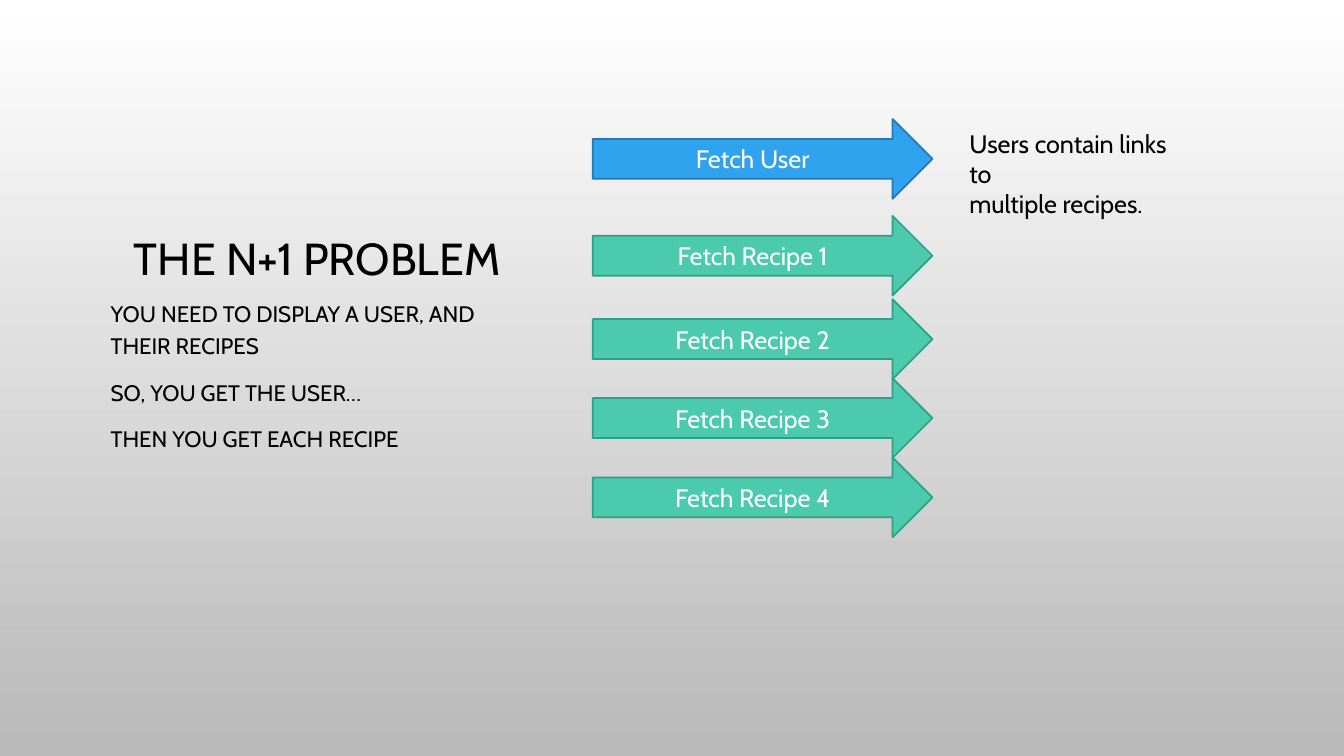
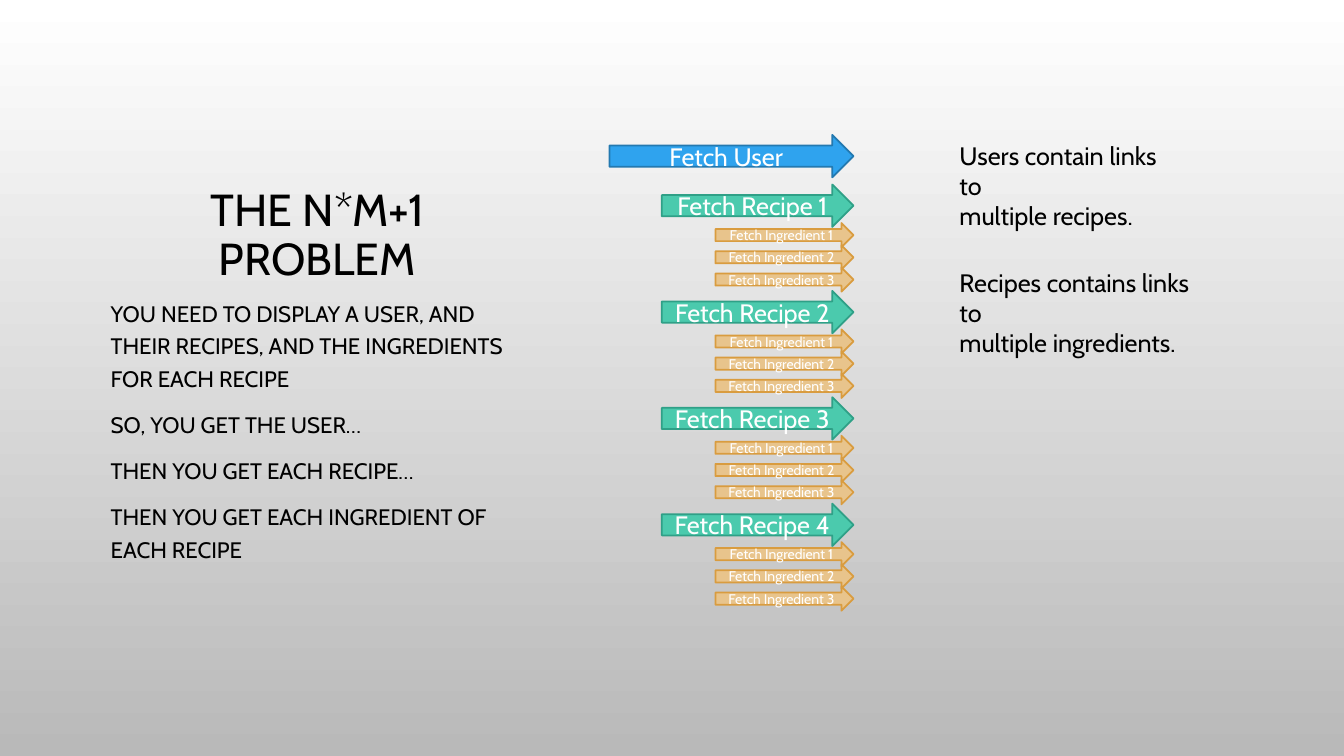
from dataclasses import dataclass
from typing import Any

from pptx import Presentation
from pptx import util as u
from pptx.dml.color import RGBColor
from pptx.enum import shapes, text


# Theme: colours, font and type sizes
@dataclass(frozen=True)
class Theme:
    font: str = "Cabin"
    ink: str = "000000"
    pale: str = "FFFFFF"
    back: tuple[str, str] = ("FFFFFF", "B9B9B9")
    user: tuple[str, str] = ("2FA3EE", "2379B0")
    recipe: tuple[str, str] = ("4BCAAD", "2FA087")
    item: tuple[str, str] = ("E8C48C", "D99C3F")
    title: int = 32
    body: int = 16
    label: int = 18
    small: int = 10
    edge: float = 1.25


THEME = Theme()


# Repeated elements, lengths in centimetres
@dataclass(frozen=True)
class Box:
    left: float
    top: float
    width: float
    height: float


@dataclass(frozen=True)
class Arrow:
    label: str
    box: Box
    paint: tuple[str, str]
    size: int = THEME.label


@dataclass(frozen=True)
class Note:
    lines: tuple[str, ...]
    box: Box


@dataclass(frozen=True)
class Page:
    title: str
    body: tuple[str, ...]
    arrows: list[Arrow]
    notes: list[Note]


HEAD = Box(2.54, 1.7, 10.92, 5.61)
BODY = Box(2.54, 7.31, 10.92, 8.76)
TITLE_STYLE = {"alignment": text.PP_ALIGN.CENTER, "line_spacing": 0.9}
BODY_STYLE = {"line_spacing": 1.2, "space_before": u.Pt(10)}
LABEL_STYLE = {"alignment": text.PP_ALIGN.CENTER}
NOTE_STYLE = {"alignment": text.PP_ALIGN.LEFT}


# Drawing functions
def apply(target: Any, values: dict[str, Any]) -> None:
    for name, value in values.items():
        setattr(target, name, value)


def place(box: Box) -> list[int]:
    return [u.Cm(n) for n in (box.left, box.top, box.width, box.height)]


def write(shape: Any, lines: tuple[str, ...], size: int, ink: str,
          style: dict[str, Any], anchor: Any = text.MSO_ANCHOR.TOP) -> None:
    frame = shape.text_frame
    apply(frame, {"word_wrap": True, "vertical_anchor": anchor})
    for i, line in enumerate(lines):
        para = frame.add_paragraph() if i else frame.paragraphs[0]
        apply(para, style)
        run = para.add_run()
        run.text = line
        apply(run.font, {"name": THEME.font, "size": u.Pt(size)})
        run.font.color.rgb = RGBColor.from_string(ink)


def draw_arrow(slide: Any, arrow: Arrow) -> None:
    shape = slide.shapes.add_shape(shapes.MSO_SHAPE.RIGHT_ARROW, *place(arrow.box))
    fill, line = arrow.paint
    shape.shadow.inherit = False
    shape.fill.solid()
    shape.fill.fore_color.rgb = RGBColor.from_string(fill)
    shape.line.color.rgb = RGBColor.from_string(line)
    shape.line.width = u.Pt(THEME.edge)
    write(shape, (arrow.label,), arrow.size, THEME.pale, LABEL_STYLE,
          text.MSO_ANCHOR.MIDDLE)


def draw_back(slide: Any) -> None:
    fill = slide.background.fill
    fill.gradient()
    fill.gradient_angle = 270
    for stop, tone in zip(fill.gradient_stops, THEME.back):
        stop.color.rgb = RGBColor.from_string(tone)


def draw_page(deck: Any, page: Page) -> None:
    slide = deck.slides.add_slide(deck.slide_layouts[6])
    draw_back(slide)
    head = slide.shapes.add_textbox(*place(HEAD))
    write(head, (page.title,), THEME.title, THEME.ink, TITLE_STYLE,
          text.MSO_ANCHOR.BOTTOM)
    body = slide.shapes.add_textbox(*place(BODY))
    write(body, page.body, THEME.body, THEME.ink, BODY_STYLE)
    for arrow in page.arrows:
        draw_arrow(slide, arrow)
    for note in page.notes:
        frame = slide.shapes.add_textbox(*place(note.box))
        write(frame, note.lines, THEME.label, THEME.ink, NOTE_STYLE)


# One query for the user, then one per recipe
def list_calls() -> list[Arrow]:
    calls = [Arrow("Fetch User", Box(14.94, 3, 8.56, 2.01), THEME.user)]
    for i, top in enumerate((5.44, 7.54, 9.53, 11.53), 1):
        calls.append(Arrow(f"Fetch Recipe {i}", Box(14.94, top, 8.56, 2.01),
                           THEME.recipe))
    return calls


# Each recipe also leads to three ingredient queries
def nest_calls() -> list[Arrow]:
    right = 21.51

    def level(top: float, width: float, height: float) -> Box:
        return Box(right - width, top, width, height)

    calls = [Arrow("Fetch User", level(3.4, 6.15, 1.07), THEME.user)]
    for i in range(4):
        top = 4.65 + 2.68 * i
        calls.append(Arrow(f"Fetch Recipe {i + 1}", level(top, 4.83, 1.07),
                           THEME.recipe))
        for j in range(3):
            calls.append(Arrow(f"Fetch Ingredient {j + 1}",
                               level(top + 0.97 + 0.56 * j, 3.48, 0.61),
                               THEME.item, THEME.small))
    return calls


# Page content
USERS = ("Users contain links to", "multiple recipes.")
ITEMS = ("Recipes contains links to", "multiple ingredients.")
PAGES = [
    Page("THE N+1 PROBLEM",
         ("YOU NEED TO DISPLAY A USER, AND THEIR RECIPES",
          "SO, YOU GET THE USER…",
          "THEN YOU GET EACH RECIPE"),
         list_calls(),
         [Note(USERS, Box(24.18, 3.1, 5.74, 1.8))]),
    Page("THE N*M+1 PROBLEM",
         ("YOU NEED TO DISPLAY A USER, AND THEIR RECIPES, "
          "AND THE INGREDIENTS FOR EACH RECIPE",
          "SO, YOU GET THE USER…",
          "THEN YOU GET EACH RECIPE…",
          "THEN YOU GET EACH INGREDIENT OF EACH RECIPE"),
         nest_calls(),
         [Note(USERS, Box(23.93, 3.4, 5.74, 1.8)),
          Note(ITEMS, Box(23.93, 6.6, 6.5, 1.8))]),
]

# Build the deck
deck = Presentation()
apply(deck, {"slide_width": u.Cm(33.87), "slide_height": u.Cm(19.05)})
for page in PAGES:
    draw_page(deck, page)
deck.save("out.pptx")
